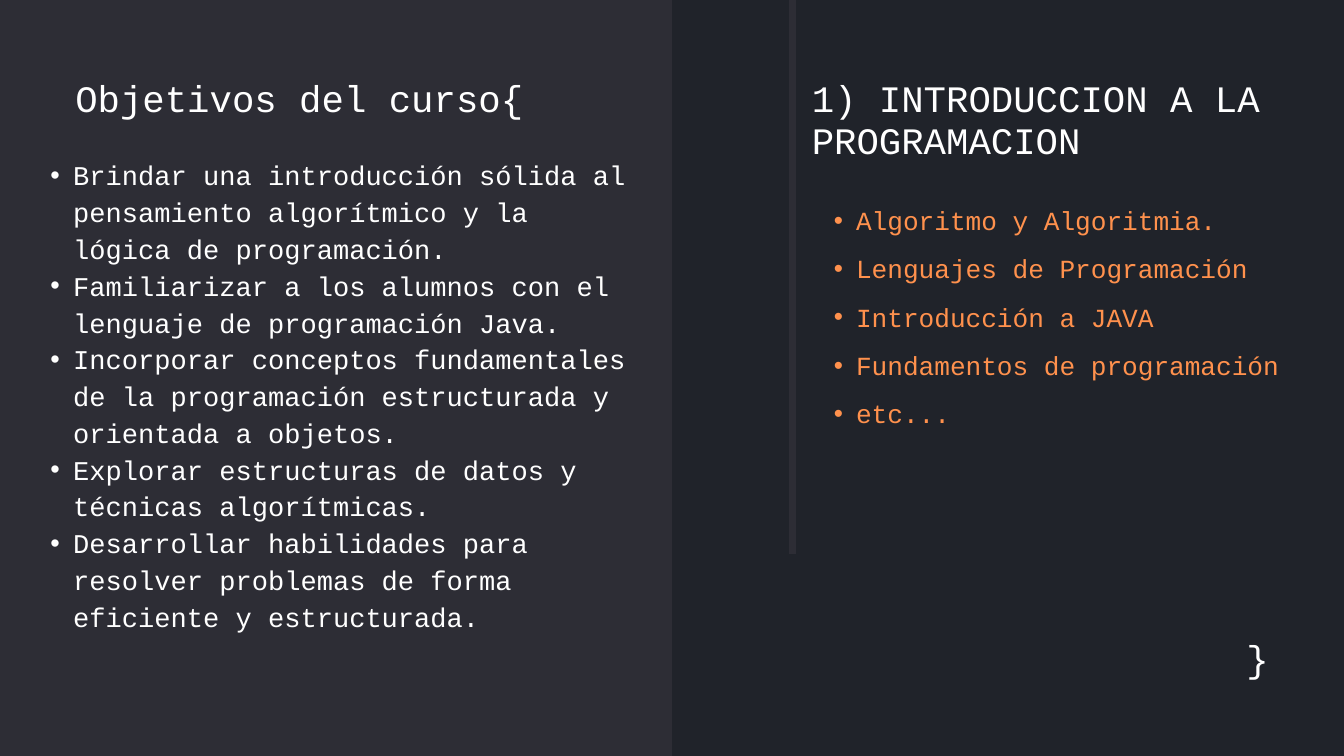
from lxml import etree
from pptx import Presentation
from pptx import util as u
from pptx.dml import color
from pptx.enum import shapes, text
from pptx.oxml import ns

WHITE, ORANGE, PANEL, BACK = "FFFFFF", "FF914D", "2D2D35", "20232A"
FONT = "Courier New"

GOALS = [
    "Brindar una introducción sólida al pensamiento algorítmico y la lógica de programación.",
    "Familiarizar a los alumnos con el lenguaje de programación Java.",
    "Incorporar conceptos fundamentales de la programación estructurada y orientada a objetos.",
    "Explorar estructuras de datos y técnicas algorítmicas.",
    "Desarrollar habilidades para resolver problemas de forma eficiente y estructurada.",
]
TOPICS = [
    "Algoritmo y Algoritmia.",
    "Lenguajes de Programación",
    "Introducción a JAVA",
    "Fundamentos de programación",
    "etc...",
]


def paint(fill, tone):
    fill.solid()
    fill.fore_color.rgb = color.RGBColor.from_string(tone)


def add_panel(slide, area, tone):
    panel = slide.shapes.add_shape(shapes.MSO_SHAPE.RECTANGLE, *map(u.Inches, area))
    panel.shadow.inherit = False
    paint(panel.fill, tone)
    panel.line.fill.background()


def add_rule(slide, x, top, end, tone, width):
    rule = slide.shapes.add_connector(
        shapes.MSO_CONNECTOR.STRAIGHT, *map(u.Inches, (x, top, x, end)))
    paint(rule.line.fill, tone)
    rule.line.width = u.Pt(width)
    etree.SubElement(rule.element.spPr, ns.qn("a:effectLst"))


def add_bullet(para, indent):
    props = para._p.get_or_add_pPr()
    props.set("marL", str(u.Inches(2 * indent)))
    props.set("indent", str(-u.Inches(indent)))
    etree.SubElement(props, ns.qn("a:buFont")).set("typeface", "Arial")
    etree.SubElement(props, ns.qn("a:buChar")).set("char", "•")


def add_text(slide, area, lines, size=40, lead=45.6, tone=WHITE,
             align=text.PP_ALIGN.LEFT, indent=None):
    frame = slide.shapes.add_textbox(*map(u.Inches, area)).text_frame
    frame.word_wrap = True
    frame.auto_size = text.MSO_AUTO_SIZE.SHAPE_TO_FIT_TEXT
    frame.margin_left = frame.margin_right = 0
    frame.margin_top = frame.margin_bottom = 0
    for i, line in enumerate(lines):
        para = frame.add_paragraph() if i else frame.paragraphs[0]
        para.alignment = align
        para.line_spacing = u.Pt(lead)
        if indent:
            para.level = 1
            add_bullet(para, indent)
        run = para.add_run()
        run.text = line
        run.font.name = FONT
        run.font.size = u.Pt(size)
        paint(run.font.fill, tone)


def main():
    deck = Presentation()
    deck.slide_width, deck.slide_height = u.Inches(20), u.Inches(11.25)
    slide = deck.slides.add_slide(deck.slide_layouts[6])
    paint(slide.background.fill, BACK)

    add_panel(slide, (-0.19, -0.11, 10.19, 11.36), PANEL)
    add_text(slide, (1.12, 1.15, 7.69, 0.64), ["Objetivos del curso{"])
    add_text(slide, (18.11, 9.49, 0.77, 0.64), ["}"], align=text.PP_ALIGN.RIGHT)
    add_text(slide, (0.41, 2.3, 9.13, 7.49), GOALS, 29, 39.4, indent=0.34)
    add_text(slide, (12.08, 2.79, 7.36, 3.54), TOPICS, 28, 51.8, ORANGE, indent=0.33)
    add_rule(slide, 11.79, -0.48, 8.25, PANEL, 7.5)
    add_text(slide, (12.08, 1.15, 7.69, 1.26), ["1) INTRODUCCION A LA PROGRAMACION"])
    deck.save("out.pptx")


if __name__ == "__main__":
    main()
